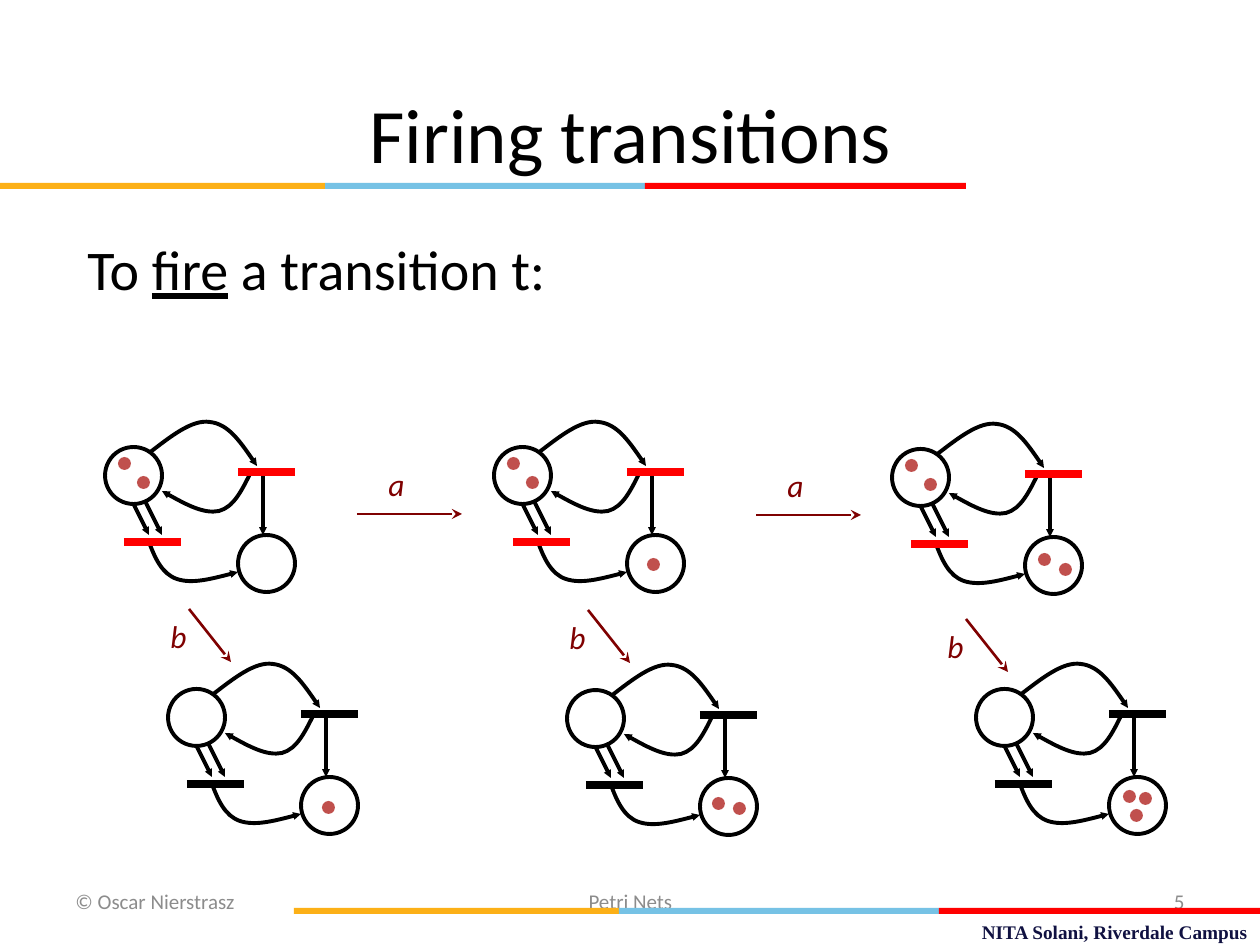
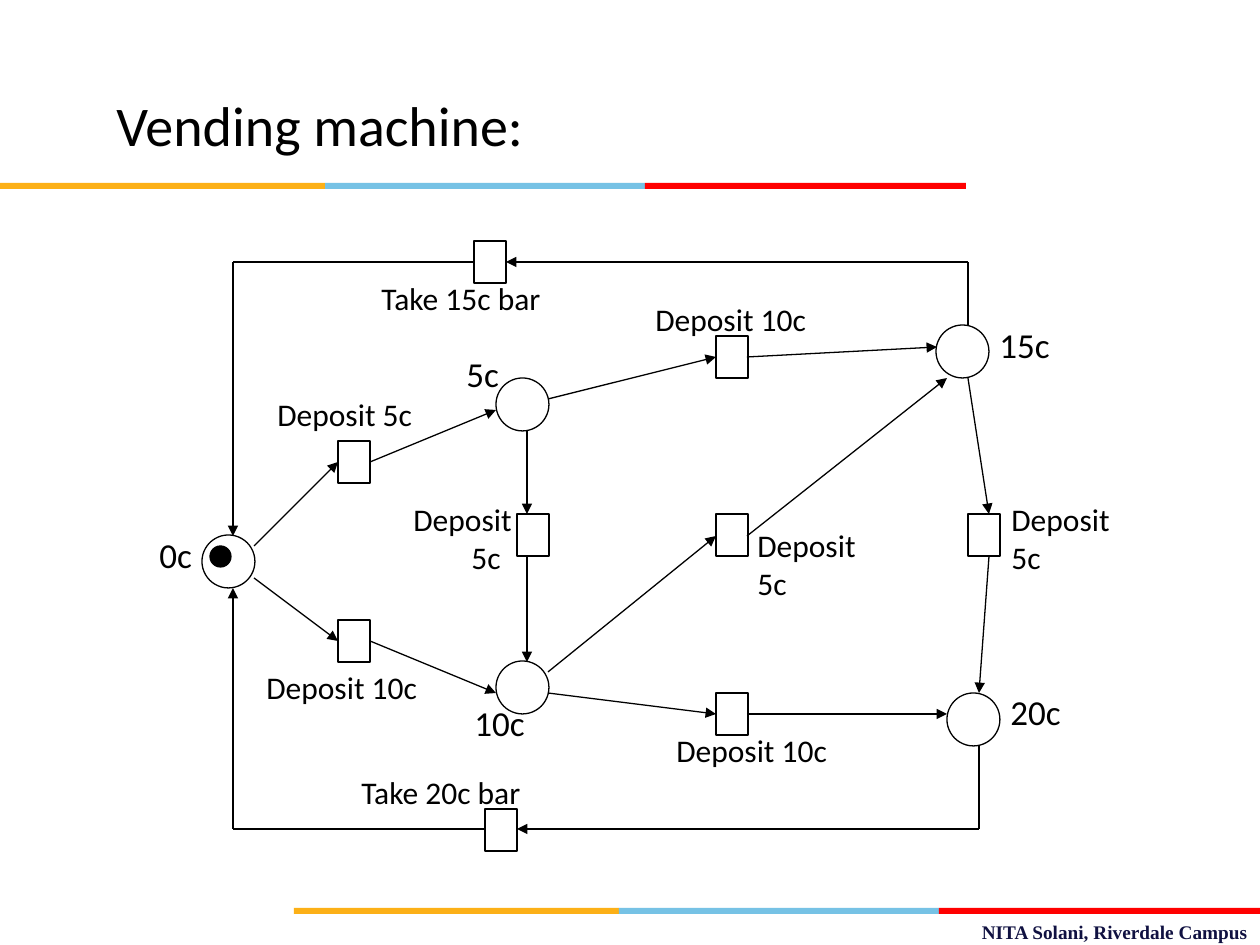
"""Builds two Petri net slides: firing transitions and a vending machine."""
from dataclasses import dataclass

from lxml import etree
from pptx import Presentation
from pptx.dml.color import RGBColor
from pptx.enum.shapes import MSO_CONNECTOR, MSO_SHAPE
from pptx.enum.text import MSO_ANCHOR, MSO_AUTO_SIZE, PP_ALIGN
from pptx.oxml.ns import qn
from pptx.util import Pt

EMU_PER_PIXEL = 914400 / 126


def px(value):
    return round(value * EMU_PER_PIXEL)


@dataclass(frozen=True)
class TextStyle:
    size: int
    color: str = "000000"
    font: str = "Calibri"
    bold: bool = False
    italic: bool = False


class Theme:
    black, white, red = "000000", "FFFFFF", "FF0000"
    token, firing = "C0504D", "7F0101"
    bands = (("FCB017", 325), ("76C2E5", 320), ("FF0000", 321))
    title = TextStyle(44)
    body = TextStyle(32)
    place = TextStyle(20)
    label = TextStyle(18)
    step = TextStyle(18, firing, italic=True)
    footer = TextStyle(12, "8C8C8C")
    campus = TextStyle(11, "101141", "Times New Roman", bold=True)
    thin, arrow, net, bar = 0.75, 1.5, 2.25, 4.5


class Deck:
    def __init__(self):
        self.file = Presentation()
        self.file.slide_width, self.file.slide_height = px(1260), px(945)
        self.slide = None

    def new_slide(self):
        self.slide = self.file.slides.add_slide(self.file.slide_layouts[6])

    def frame_slide(self):
        self.text((940, 914, 320, 35), ["NITA Solani, Riverdale Campus"],
                  Theme.campus, align=PP_ALIGN.RIGHT)
        self.band(294, 908)
        self.band(0, 183)

    def band(self, left, top):
        for color, width in Theme.bands:
            self.shape(MSO_SHAPE.RECTANGLE, (left, top, width, 6), fill=color)
            left += width

    def run(self, paragraph, text, style, underline=False):
        run = paragraph.add_run()
        run.text = text
        font = run.font
        font.name, font.size = style.font, Pt(style.size)
        font.bold, font.italic, font.underline = style.bold, style.italic, underline
        font.color.rgb = RGBColor.from_string(style.color)

    def text(self, box, lines, style, align=PP_ALIGN.LEFT, middle=False,
             wrap=True, last_indent=0):
        frame = self.slide.shapes.add_textbox(*map(px, box)).text_frame
        frame.word_wrap = wrap
        frame.auto_size = MSO_AUTO_SIZE.NONE if middle else MSO_AUTO_SIZE.SHAPE_TO_FIT_TEXT
        frame.vertical_anchor = MSO_ANCHOR.MIDDLE if middle else MSO_ANCHOR.TOP
        for index, line in enumerate(lines):
            paragraph = frame.add_paragraph() if index else frame.paragraphs[0]
            paragraph.alignment = align
            self.run(paragraph, line, style)
        if last_indent:
            paragraph._p.get_or_add_pPr().set("marL", str(px(last_indent)))
        return frame.paragraphs[0]

    def stroke(self, shape, color, width, head=None, head_size="med"):
        shape.line.color.rgb = RGBColor.from_string(color)
        shape.line.width = Pt(width)
        if head:
            outline = shape._element.spPr.find(qn("a:ln"))
            etree.SubElement(outline, qn("a:tailEnd"), type=head, w=head_size,
                             len=head_size)

    def shape(self, kind, box, fill=None, line=None, width=Theme.thin):
        shape = self.slide.shapes.add_shape(kind, *map(px, box))
        shape.shadow.inherit = False
        if fill:
            shape.fill.solid()
            shape.fill.fore_color.rgb = RGBColor.from_string(fill)
        else:
            shape.fill.background()
        if line:
            self.stroke(shape, line, width)
        else:
            shape.line.fill.background()

    def circle(self, left, top, size, **look):
        self.shape(MSO_SHAPE.OVAL, (left, top, size, size), **look)

    def line(self, x1, y1, x2, y2, color=Theme.black, width=Theme.thin, head=None,
             head_size="med"):
        line = self.slide.shapes.add_connector(
            MSO_CONNECTOR.STRAIGHT, px(x1), px(y1), px(x2), px(y2))
        self.stroke(line, color, width, head, head_size)
        etree.SubElement(line._element.spPr, qn("a:effectLst"))

    def curve(self, x, y, points):
        """Draws joined cubic curves with an arrowhead at the end."""
        start, *rest = [(px(x + dx), px(y + dy)) for dx, dy in points]
        builder = self.slide.shapes.build_freeform(*start)
        builder.add_line_segments(rest, close=False)
        shape = builder.convert_to_shape()
        path = shape._element.spPr.find(".//" + qn("a:path"))
        segments = path.findall(qn("a:lnTo"))
        for first in range(0, len(segments), 3):
            cubic = etree.SubElement(path, qn("a:cubicBezTo"))
            for segment in segments[first:first + 3]:
                cubic.append(segment[0])
                path.remove(segment)
        shape.shadow.inherit = False
        shape.fill.background()
        self.stroke(shape, Theme.black, Theme.net, "triangle", "sm")

    def net(self, x, y, bar_color, tokens):
        for x1, y1, x2, y2 in NET_ARROWS:
            self.line(x + x1, y + y1, x + x2, y + y2, width=Theme.net,
                      head="triangle", head_size="sm")
        for points in NET_CURVES:
            self.curve(x, y, points)
        for dx, dy in ((0, 0), (133, 88)):
            self.circle(x + dx, y + dy, 57, fill=Theme.white, line=Theme.black,
                        width=Theme.net)
        for dx, dy in ((19, 95), (133, 25)):
            self.line(x + dx, y + dy, x + dx + 57, y + dy, bar_color, Theme.bar)
        for dx, dy in tokens:
            self.circle(x + dx, y + dy, 13, fill=Theme.token)

    def firing(self, name, x, y, run, rise, label_dx, label_dy):
        self.line(x, y, x + run, y + rise, Theme.firing, Theme.arrow, "stealth")
        self.text((x + label_dx, y + label_dy, 49, 63), [name], Theme.step, wrap=False)


NET_ARROWS = ((38, 50, 57, 88), (25, 50, 44, 88), (158, 25, 158, 88))
NET_CURVES = (
    ((44, 95), (50, 111), (57, 127), (72, 132), (87, 137), (110, 131), (133, 125)),
    ((146, 25), (137, 43), (129, 60), (114, 64), (99, 67), (78, 56), (57, 44)),
    ((44, 6), (65, -10), (87, -28), (105, -25), (123, -23), (137, -3), (152, 19)),
)
START_TOKENS = ((13, 10), (32, 29))
ENABLED_NETS = (
    (105, 447, ()),
    (494, 447, ((153, 111),)),
    (892, 449, ((146, 104), (167, 114))),
)
DEAD_NETS = (
    (168, 689, ((154, 112),)),
    (567, 690, ((145, 107), (166, 112))),
    (976, 689, ((147, 101), (163, 103), (154, 120))),
)

PLACES = (
    ("0c", 202, 535, 147, 527, 58), ("5c", 496, 378, 454, 346, 58),
    ("10c", 496, 661, 462, 695, 76), ("15c", 936, 325, 987, 317, 76),
    ("20c", 947, 693, 998, 684, 76),
)
TRANSITIONS = (
    (("Take 15c bar",), 474, 241, 369, 273, 243),
    (("Deposit 5c",), 338, 441, 265, 389, 161),
    (("Deposit 10c",), 338, 620, 254, 662, 176),
    (("Deposit 10c",), 716, 336, 643, 294, 176),
    (("Deposit", "5c"), 716, 514, 745, 520, 128),
    (("Deposit 10c",), 716, 693, 664, 725, 176),
    (("Deposit", "5c"), 968, 514, 999, 494, 128),
    (("Take 20c bar",), 485, 809, 349, 767, 190),
)
ARCS = (
    (254, 546, 338, 462), (254, 578, 338, 641), (370, 462, 496, 410),
    (370, 641, 496, 693), (548, 399, 716, 357), (747, 357, 937, 347),
    (527, 431, 527, 514), (527, 557, 527, 662), (548, 672, 716, 536),
    (747, 536, 947, 378), (548, 693, 716, 714), (747, 714, 947, 714),
    (968, 378, 989, 514), (989, 557, 979, 693), (979, 829, 517, 829),
    (233, 829, 233, 588), (968, 262, 506, 262), (233, 262, 233, 536),
)
PLAIN_LINES = (
    (474, 262, 233, 262), (979, 746, 979, 829),
    (485, 829, 233, 829), (968, 325, 968, 262),
)


def firing_slide(deck):
    deck.new_slide()
    for text, left, width, align in (
            ("© Oscar Nierstrasz", 63, 294, PP_ALIGN.LEFT),
            ("Petri Nets", 431, 399, PP_ALIGN.CENTER),
            ("5", 903, 294, PP_ALIGN.RIGHT)):
        deck.text((left, 876, width, 50), [text], Theme.footer, align, middle=True)
    deck.text((74, 77, 1113, 112), ["Firing transitions"], Theme.title,
              PP_ALIGN.CENTER, middle=True)
    body = deck.text((75, 228, 1111, 180), ["To "], Theme.body)
    body.space_before = Pt(6.4)
    deck.run(body, "fire", Theme.body, underline=True)
    deck.run(body, " a transition t:", Theme.body)
    for x, y, tokens in ENABLED_NETS:
        deck.net(x, y, Theme.red, START_TOKENS + tokens)
    for x, y, tokens in DEAD_NETS:
        deck.net(x, y, Theme.black, tokens)
    for x, y in ((357, 514), (756, 515)):
        deck.firing("a", x, y, 105, 0, 19, -55)
    for x, y in ((189, 609), (588, 610), (966, 619)):
        deck.firing("b", x, y, 42, 53, -31, 2)
    deck.frame_slide()


def vending_slide(deck):
    deck.new_slide()
    deck.text((104, 84, 546, 81), ["Vending machine:"], Theme.body)
    deck.frame_slide()
    for arc in ARCS:
        deck.line(*arc, head="triangle")
    for ends in PLAIN_LINES:
        deck.line(*ends)
    for name, x, y, label_x, label_y, width in PLACES:
        deck.circle(x, y, 53, line=Theme.black)
        deck.text((label_x, label_y, width, 54), [name], Theme.place, wrap=False)
    for lines, x, y, label_x, label_y, width in TRANSITIONS:
        deck.shape(MSO_SHAPE.RECTANGLE, (x, y, 32, 42), line=Theme.black)
        deck.text((label_x, label_y, width, 50 if len(lines) == 1 else 88), lines,
                  Theme.label, wrap=False)
    deck.shape(MSO_SHAPE.RECTANGLE, (517, 514, 32, 42), line=Theme.black)
    deck.text((401, 494, 136, 88), ["Deposit", "5c"], Theme.label, last_indent=58)
    deck.circle(210, 546, 21, fill=Theme.black, line=Theme.black)


deck = Deck()
firing_slide(deck)
vending_slide(deck)
deck.file.save("out.pptx")
